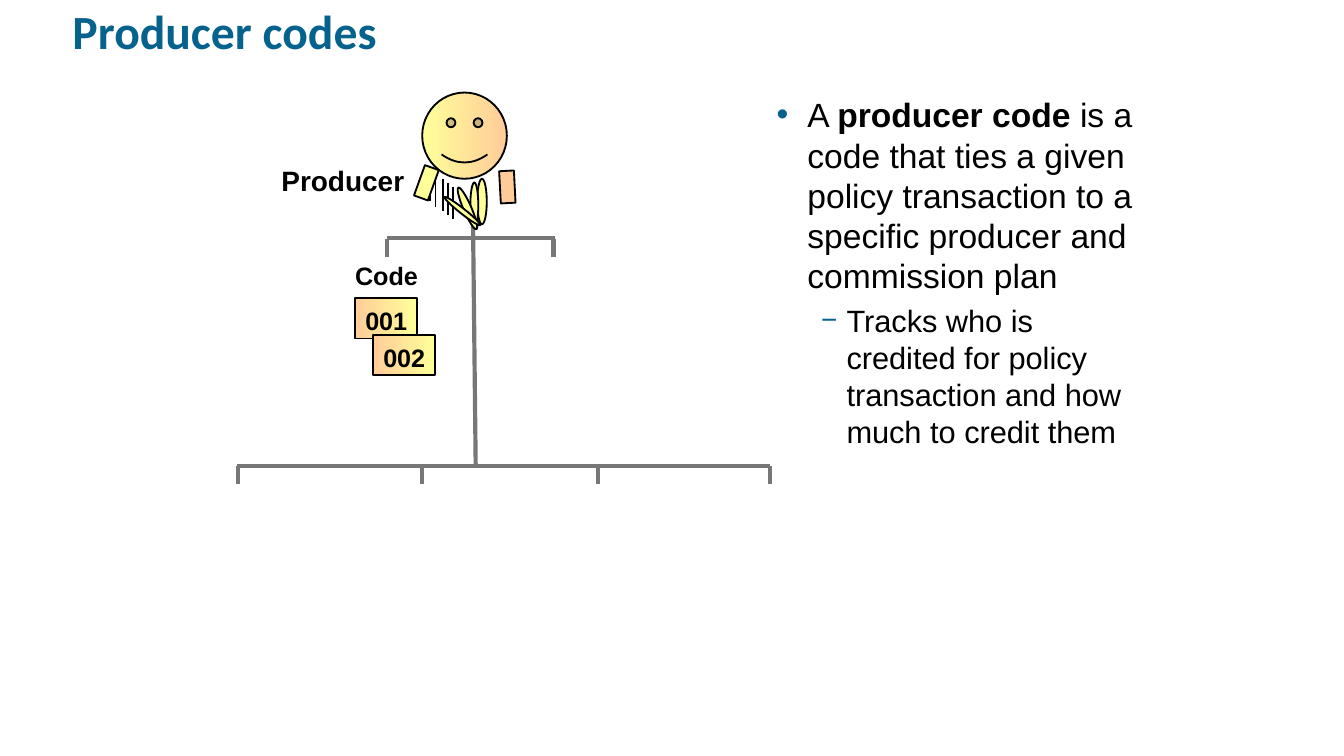
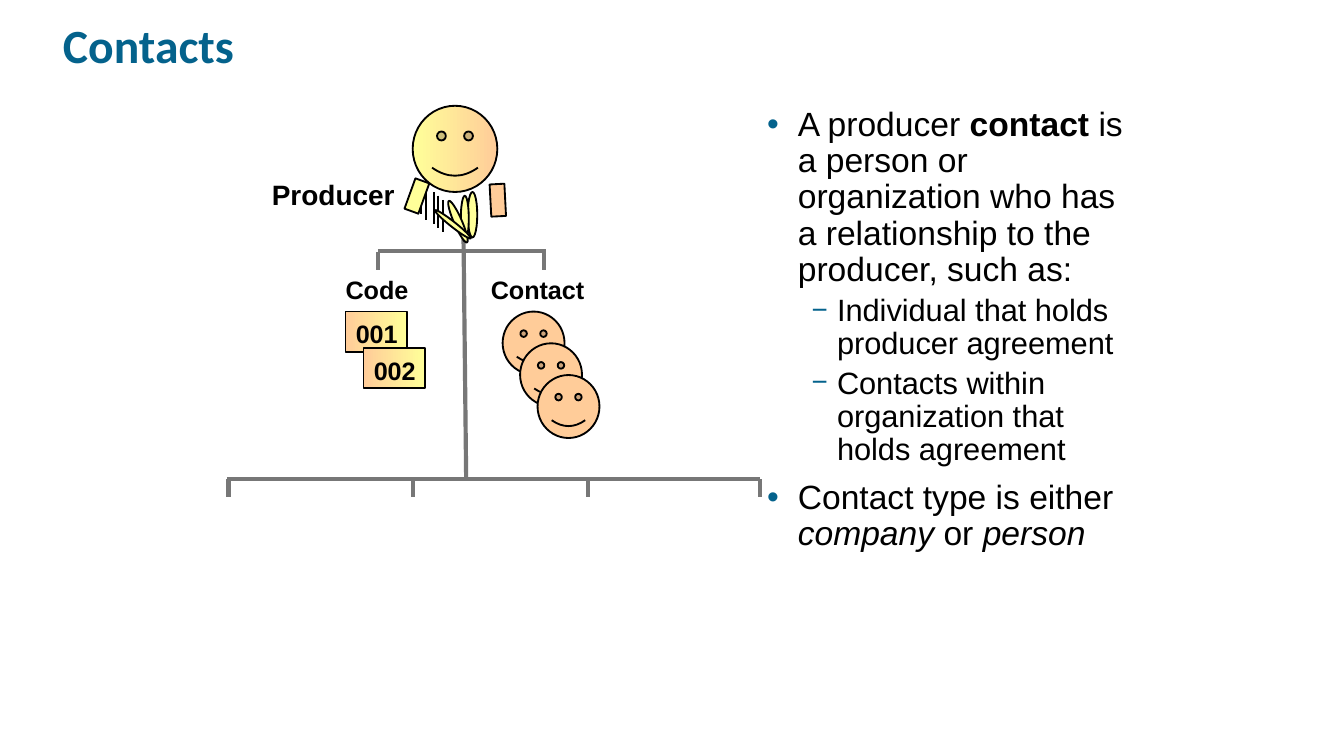
import dataclasses
import lxml.etree
import pptx
import pptx.dml.color
import pptx.enum.shapes
import pptx.enum.text
import pptx.oxml.ns
import pptx.util

Cm = pptx.util.Cm
Pt = pptx.util.Pt
RGB = pptx.dml.color.RGBColor.from_string
Kind = pptx.enum.shapes.MSO_SHAPE
Align = pptx.enum.text.PP_ALIGN
Anchor = pptx.enum.text.MSO_ANCHOR
qn = pptx.oxml.ns.qn


@dataclasses.dataclass(frozen=True)
class Theme:
    blue: str = "04628C"
    black: str = "000000"
    gray: str = "777777"
    peach: str = "FFCC99"
    lemon: str = "FFFF99"
    head: str = "Calibri"
    body: str = "Arial"
    title: float = 25.5
    main: float = 18
    sub: float = 16.5
    name: float = 15
    label: float = 13.5
    thin: float = 1
    thick: float = 2.25


theme = Theme()

levels = [
    dict(size=theme.main, left=0.58, hang=0.58, gap=0.4, mark="•", scale=100),
    dict(size=theme.sub, left=1.32, hang=0.48, gap=0.2, mark="−", scale=90),
]

pages = [
    dict(
        title="Producer codes", dx=0, dy=0, pitch=1.0, people=0,
        labels=[("Code", 6.3, 2.01)],
        points=[
            (0, [("A ", ""), ("producer code", "b"),
                 (" is a code that ties a given policy transaction to a "
                  "specific producer and commission plan", "")]),
            (1, [("Tracks who is credited for policy transaction and how "
                  "much to credit them", "")]),
        ],
    ),
    dict(
        title="Contacts", dx=-0.18, dy=0.25, pitch=0.9, people=3,
        labels=[("Contact", 9.12, 2.44), ("Code", 6.3, 2.01)],
        points=[
            (0, [("A producer ", ""), ("contact", "b"),
                 (" is a person or organization who has a relationship to "
                  "the producer, such as:", "")]),
            (1, [("Individual that holds producer agreement", "")]),
            (1, [("Contacts within organization that holds agreement", "")]),
            (0, [("Contact type is either ", ""), ("company", "i"),
                 (" or ", ""), ("person", "i")]),
        ],
    ),
]

strands = [(8.23, 3.3), (8.13, 3.18), (8.38, 3.38), (8.46, 3.45), (8.56, 3.53)]
lines = [(x, y, x, y + 0.61, theme.black, theme.thin) for x, y in strands]
links = [(8.99, 8.81, 8.94, 4.24), (4.47, 8.81, 14.55, 8.81), (7.32, 4.5, 10.49, 4.5)]
links += [(x, 8.81, x, 9.14) for x in (4.5, 7.98, 11.3, 14.55)]
links += [(x, 4.52, x, 4.85) for x in (7.32, 10.46)]
lines += [(*link, theme.gray, theme.thick) for link in links]

limbs = [
    (Kind.RECTANGLE, 9.45, 3.23, 0.28, 0.61, theme.peach, 357),
    (Kind.RECTANGLE, 7.92, 3.15, 0.28, 0.61, theme.lemon, 19.9),
    (Kind.OVAL, 9.02, 3.38, 0.18, 0.86, theme.lemon, 0),
    (Kind.OVAL, 8.89, 3.45, 0.15, 0.86, theme.lemon, 0),
    (Kind.OVAL, 8.76, 3.51, 0.15, 0.86, theme.lemon, 336.5),
    (Kind.OVAL, 8.69, 3.56, 0.1, 0.86, theme.lemon, 308.3),
]


def put(slide, kind, x, y, w, h, tints, turn=0):
    shape = slide.shapes.add_shape(kind, Cm(x), Cm(y), Cm(w), Cm(h))
    shape.shadow.inherit = False
    shape.rotation = turn
    if kind == Kind.SMILEY_FACE:
        shape.adjustments[0] = 0.047
    if len(tints) == 1:
        shape.fill.solid()
        shape.fill.fore_color.rgb = RGB(tints[0])
    else:
        shape.fill.gradient()
        shape.fill.gradient_angle = 0
        for stop, tint in zip(shape.fill.gradient_stops, tints):
            stop.color.rgb = RGB(tint)
    shape.line.color.rgb = RGB(theme.black)
    shape.line.width = Pt(theme.thin)


def write(slide, x, y, w, h, text, size):
    frame = slide.shapes.add_textbox(Cm(x), Cm(y), Cm(w), Cm(h)).text_frame
    frame.word_wrap = True
    frame.margin_left = frame.margin_right = 0
    frame.margin_top = frame.margin_bottom = 0
    para = frame.paragraphs[0]
    para.text = text
    para.alignment = Align.CENTER
    para.font.name = theme.body
    para.font.size = Pt(size)
    para.font.bold = True
    para.font.color.rgb = RGB(theme.black)
    return frame


deck = pptx.Presentation()
deck.slide_width = Cm(25.4)
deck.slide_height = Cm(14.29)

for page in pages:
    slide = deck.slides.add_slide(deck.slide_layouts[5])
    dx, dy = page["dx"], page["dy"]

    title = slide.shapes.title
    title.left, title.top = Cm(1.37 + dx), Cm(0.25 + dy)
    title.width, title.height = Cm(23.11), Cm(1.55)
    frame = title.text_frame
    frame.text = page["title"]
    frame.auto_size = pptx.enum.text.MSO_AUTO_SIZE.NONE
    frame.vertical_anchor = Anchor.TOP
    frame.margin_left = frame.margin_right = 0
    frame.margin_top = frame.margin_bottom = 0
    para = frame.paragraphs[0]
    para.alignment = Align.LEFT
    para.line_spacing = 0.8
    para.font.name = theme.head
    para.font.size = Pt(theme.title)
    para.font.bold = True
    para.font.color.rgb = RGB(theme.blue)

    box = slide.shapes.add_textbox(Cm(14.68 + dx), Cm(1.78 + dy), Cm(6.91), Cm(11.56))
    frame = box.text_frame
    frame.word_wrap = True
    frame.margin_left = frame.margin_right = 0
    frame.margin_top = frame.margin_bottom = 0
    for i, (depth, runs) in enumerate(page["points"]):
        para = frame.add_paragraph() if i else frame.paragraphs[0]
        level = levels[depth]
        para.level = depth
        para.line_spacing = page["pitch"]
        para.space_before = Pt(level["size"] * level["gap"])
        props = para._p.get_or_add_pPr()
        props.set("marL", str(Cm(level["left"])))
        props.set("indent", str(-Cm(level["hang"])))
        color = lxml.etree.SubElement(props, qn("a:buClr"))
        lxml.etree.SubElement(color, qn("a:srgbClr"), val=theme.blue)
        lxml.etree.SubElement(props, qn("a:buSzPct"), val=str(level["scale"] * 1000))
        lxml.etree.SubElement(props, qn("a:buFont"), typeface=theme.body)
        lxml.etree.SubElement(props, qn("a:buChar"), char=level["mark"])
        para.font.name = theme.body
        para.font.size = Pt(level["size"])
        para.font.color.rgb = RGB(theme.black)
        for text, style in runs:
            run = para.add_run()
            run.text = text
            if style == "b":
                run.font.bold = True
            elif style == "i":
                run.font.italic = True

    put(slide, Kind.SMILEY_FACE, 7.98 + dx, 1.75 + dy, 1.6, 1.63, [theme.lemon, theme.peach])

    for x1, y1, x2, y2, tint, width in lines:
        line = slide.shapes.add_connector(
            pptx.enum.shapes.MSO_CONNECTOR.STRAIGHT,
            Cm(x1 + dx), Cm(y1 + dy), Cm(x2 + dx), Cm(y2 + dy))
        line.line.color.rgb = RGB(tint)
        line.line.width = Pt(width)
        lxml.etree.SubElement(line._element.spPr, qn("a:effectLst"))

    for kind, x, y, w, h, tint, turn in limbs:
        put(slide, kind, x + dx, y + dy, w, h, [tint], turn)

    write(slide, 5.26 + dx, 3.1 + dy, 2.44, 0.64, "Producer", theme.name)
    for text, x, w in page["labels"]:
        write(slide, x + dx, 4.93 + dy, w, 0.58, text, theme.label)

    for i in range(page["people"]):
        put(slide, Kind.SMILEY_FACE, 9.68 + 0.33 * i + dx, 5.64 + 0.6 * i + dy,
            1.17, 1.19, [theme.peach])

    for i, code in enumerate(["001", "002"]):
        x, y = 6.71 + 0.34 * i + dx, 5.64 + 0.69 * i + dy
        put(slide, Kind.RECTANGLE, x, y, 1.17, 0.76, [theme.peach, theme.lemon])
        frame = write(slide, x + 0.16, y + 0.13, 0.86, 0.58, code, theme.label)
        frame.vertical_anchor = Anchor.MIDDLE

deck.save("out.pptx")
